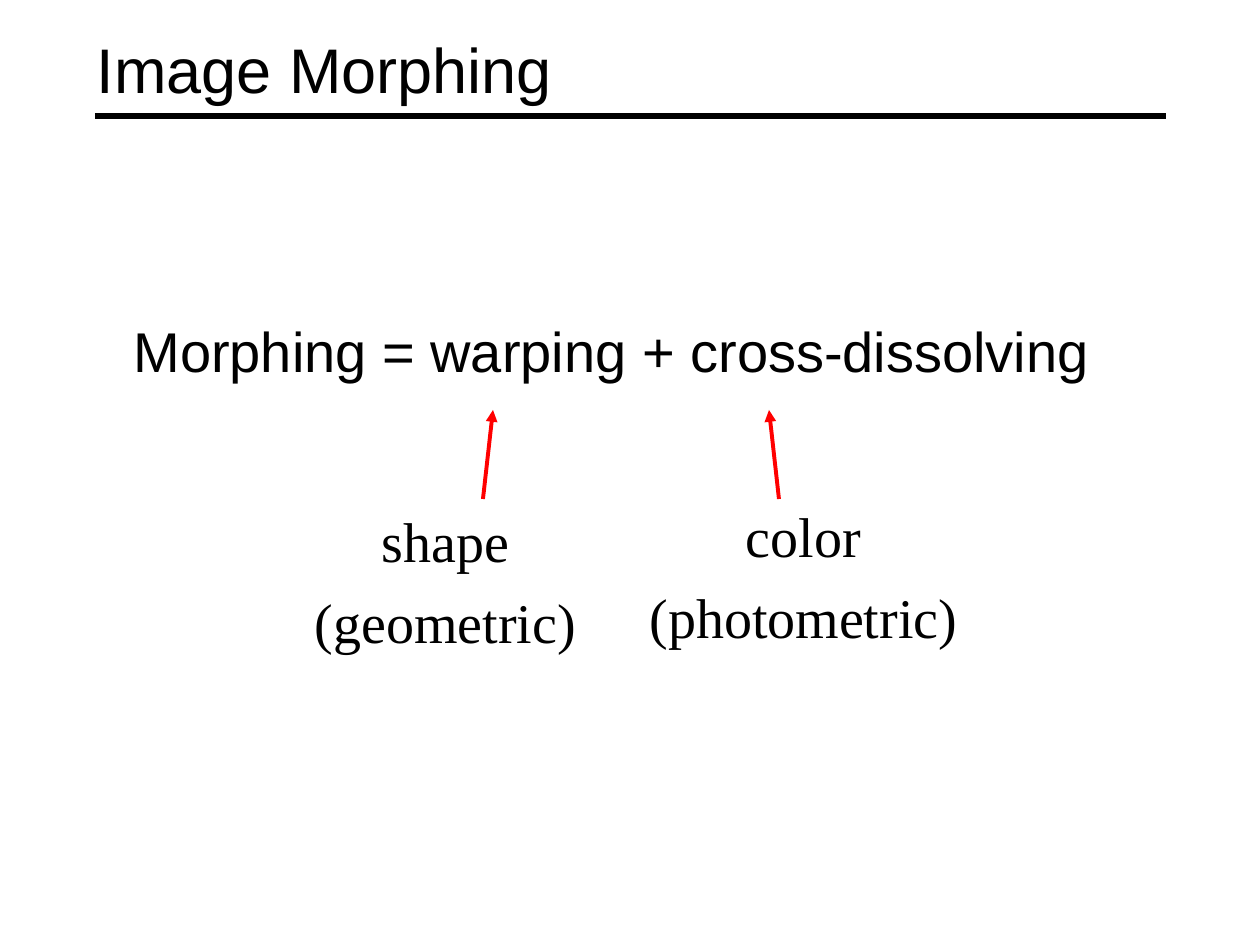
from dataclasses import dataclass

from lxml import etree
from pptx import Presentation
from pptx import util as u
from pptx.dml.color import RGBColor
from pptx.enum import shapes, text
from pptx.oxml.ns import qn

EMU_PER_PX = 914400 / 126
BLACK = RGBColor(0, 0, 0)
RED = RGBColor(255, 0, 0)
SANS = "Arial"
SERIF = "Times New Roman"


@dataclass(frozen=True)
class Line:
    start: tuple[int, int]
    end: tuple[int, int]
    color: RGBColor
    width: float
    arrow: bool = False


@dataclass(frozen=True)
class Block:
    box: tuple[int, int, int, int]
    lines: tuple[str, ...]
    font: str
    size: int
    align: text.PP_ALIGN
    anchor: text.MSO_ANCHOR = text.MSO_ANCHOR.TOP


TITLE = Block((84, 16, 924, 105), ("Image Morphing",), SANS, 36,
              text.PP_ALIGN.LEFT, text.MSO_ANCHOR.MIDDLE)
FORMULA = Block((121, 310, 1013, 140), ("Morphing = warping + cross-dissolving",),
                SANS, 32, text.PP_ALIGN.LEFT)
CAPTIONS = (
    Block((273, 500, 345, 149), ("shape", "(geometric)"),
          SERIF, 32, text.PP_ALIGN.CENTER),
    Block((631, 495, 345, 149), ("color", "(photometric)"),
          SERIF, 32, text.PP_ALIGN.CENTER),
)
LINES = (
    Line((95, 116), (1166, 116), BLACK, 3),
    Line((483, 499), (493, 410), RED, 2.25, arrow=True),
    Line((779, 499), (769, 410), RED, 2.25, arrow=True),
)


def px(length: int) -> u.Emu:
    return u.Emu(round(length * EMU_PER_PX))


def write_block(holder, block: Block) -> None:
    holder.left, holder.top, holder.width, holder.height = map(px, block.box)
    frame = holder.text_frame
    frame.word_wrap = True
    frame.auto_size = text.MSO_AUTO_SIZE.NONE
    frame.vertical_anchor = block.anchor
    frame.text = "\n".join(block.lines)
    for index, paragraph in enumerate(frame.paragraphs):
        paragraph.alignment = block.align
        paragraph.space_before = u.Pt(8 if index else 0)
        paragraph.font.name = block.font
        paragraph.font.size = u.Pt(block.size)
        paragraph.font.color.rgb = BLACK


def draw_line(slide, line: Line) -> None:
    connector = slide.shapes.add_connector(
        shapes.MSO_CONNECTOR.STRAIGHT, *map(px, line.start + line.end))
    connector.line.color.rgb = line.color
    connector.line.width = u.Pt(line.width)
    if line.arrow:
        outline = connector.line._get_or_add_ln()
        etree.SubElement(outline, qn("a:tailEnd"), type="triangle")
    etree.SubElement(connector._element.spPr, qn("a:effectLst"))


def main() -> None:
    deck = Presentation()
    deck.slide_width, deck.slide_height = px(1260), px(945)
    slide = deck.slides.add_slide(deck.slide_layouts[5])
    write_block(slide.shapes.title, TITLE)
    for block in (FORMULA, *CAPTIONS):
        write_block(slide.shapes.add_textbox(*map(px, block.box)), block)
    for line in LINES:
        draw_line(slide, line)
    deck.save("out.pptx")


if __name__ == "__main__":
    main()
